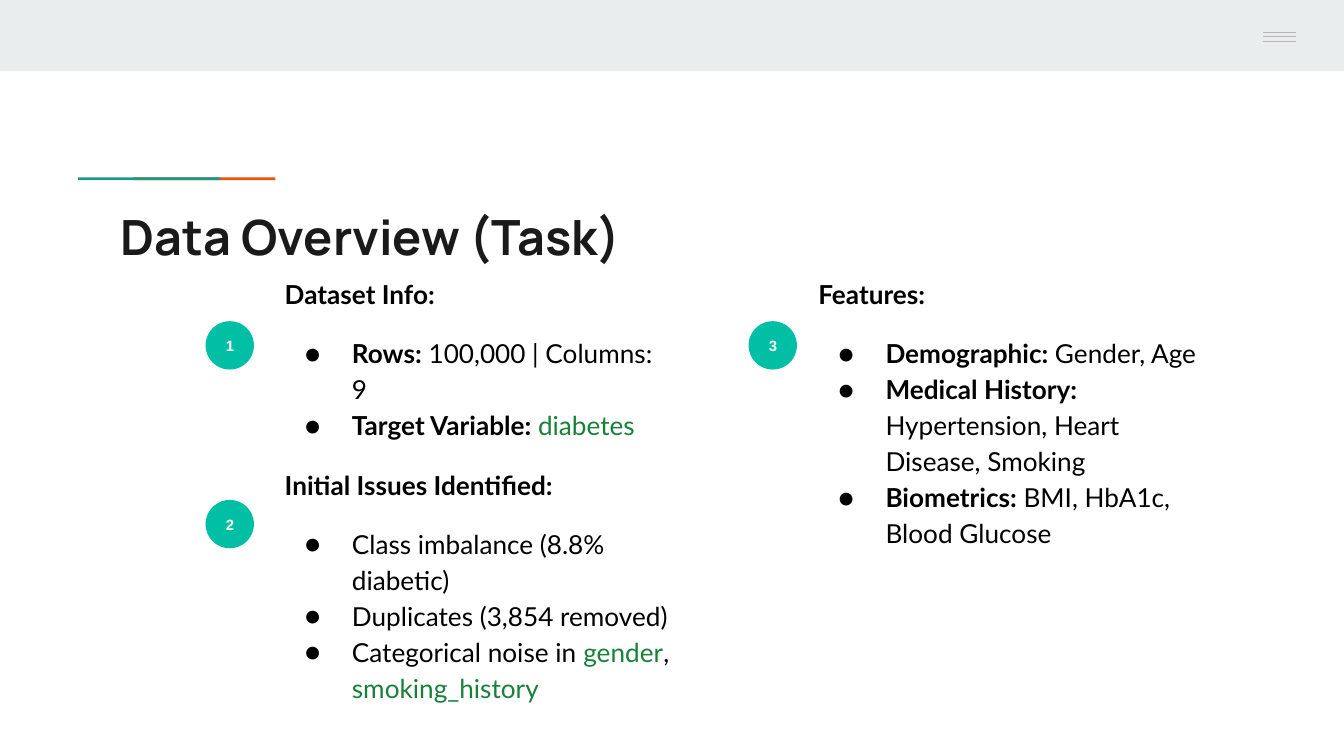
"""Build the data overview slide with numbered lists."""
from lxml import etree
from pptx import Presentation, util as u
from pptx.dml.color import RGBColor
from pptx.enum import shapes as s, text as t
from pptx.oxml.ns import qn

I = u.Inches
GREEN, BLACK = "188038", "000000"


def hue(code):
    return RGBColor.from_string(code)


def write(par, words, size=14, font="Lato", color=BLACK, bold=False, align="LEFT",
          gap=0, line=1, mark=None):
    par.alignment = getattr(t.PP_ALIGN, align)
    par.line_spacing = line
    par.space_before = u.Pt(gap)
    par.space_after = u.Pt(0)
    if mark:
        props = par._p.get_or_add_pPr()
        props.set("marL", str(I(0.5)))
        props.set("indent", str(I(-0.35)))
        tint = etree.SubElement(props, qn("a:buClr"))
        etree.SubElement(tint, qn("a:srgbClr"), val=BLACK)
        etree.SubElement(props, qn("a:buSzPts"), val=str(size * 100))
        etree.SubElement(props, qn("a:buFont"), typeface=font)
        etree.SubElement(props, qn("a:buChar"), char=mark)
    run = par.add_run()
    run.text = words
    run.font.size = u.Pt(size)
    run.font.name = font
    run.font.bold = bold
    run.font.color.rgb = hue(color)


deck = Presentation()
deck.slide_width = I(10)
deck.slide_height = I(10) * 9 // 16
slide = deck.slides.add_slide(deck.slide_layouts[5])
tree = slide.shapes

bars = [
    (0, 0, 10, 0.53, "E9EDEE"),
    (0.99, 1.32, 1.06, 0.02, "EB5600"),
    (0.58, 1.32, 1.06, 0.02, "1A9988"),
    (9.06, 0, 0.94, 0.5, "E9EDEE"),
]
for x, y, w, h, fill in bars:
    bar = tree.add_shape(s.MSO_SHAPE.RECTANGLE, I(x), I(y), I(w), I(h))
    bar.shadow.inherit = False
    bar.fill.solid()
    bar.fill.fore_color.rgb = hue(fill)
    bar.line.fill.background()

for y in (0.24, 0.27, 0.31):
    rule = tree.add_connector(s.MSO_CONNECTOR.STRAIGHT, I(9.4), I(y), I(9.64), I(y))
    rule.line.color.rgb = hue("B7B7B7")
    rule.line.width = u.Pt(0.75)
    etree.SubElement(rule._element.spPr, qn("a:effectLst"))

title = tree.title
title.left, title.top, title.width, title.height = I(0.8), I(1.44), I(8.41), I(0.59)

lists = [
    (2.02, 1.94, 3.08, 1.21, "Dataset Info:", [
        [("Rows:", True, BLACK), (" 100,000 | Columns: 9", False, BLACK)],
        [("Target Variable: ", True, BLACK), ("diabetes", False, GREEN)],
    ]),
    (2.02, 3.36, 3.08, 1.41, "Initial Issues Identified:", [
        [("Class imbalance (8.8% diabetic)", False, BLACK)],
        [("Duplicates (3,854 removed)", False, BLACK)],
        [("Categorical noise in ", False, BLACK), ("gender", False, GREEN),
         (", ", False, BLACK), ("smoking_history", False, GREEN)],
    ]),
    (5.99, 1.94, 3.08, 1.15, "Features:", [
        [("Demographic: ", True, BLACK), ("Gender, Age", False, BLACK)],
        [("Medical History: ", True, BLACK),
         ("Hypertension, Heart Disease, Smoking", False, BLACK)],
        [("Biometrics: ", True, BLACK), ("BMI, HbA1c, Blood Glucose", False, BLACK)],
    ]),
]
boxes = [tree.add_textbox(*map(I, item[:4])) for item in lists]
dots = [tree.add_shape(s.MSO_SHAPE.OVAL, I(x), I(y), I(0.36), I(0.36))
        for x, y in ((1.53, 2.39), (1.53, 3.72), (5.57, 2.39))]

for shape in [title, *boxes, *dots]:
    frame = shape.text_frame
    frame.word_wrap = True
    frame.auto_size = t.MSO_AUTO_SIZE.NONE
    frame.vertical_anchor = t.MSO_ANCHOR.TOP
    frame.margin_left = frame.margin_right = I(0.1)
    frame.margin_top = frame.margin_bottom = I(0.1)

write(title.text_frame.paragraphs[0], "Data Overview (Task)", size=26,
      font="Manrope", color="1A1A1A", bold=True)

for box, (*_, head, items) in zip(boxes, lists):
    frame = box.text_frame
    write(frame.paragraphs[0], head, bold=True, line=1.15)
    for row, parts in enumerate(items):
        par = frame.add_paragraph()
        for spot, (words, bold, color) in enumerate(parts):
            write(par, words, bold=bold, color=color, line=1.15,
                  gap=0 if row else 12, mark=None if spot else "●")

for num, dot in enumerate(dots, 1):
    dot.shadow.inherit = False
    dot.fill.solid()
    dot.fill.fore_color.rgb = hue("00BFA5")
    dot.line.fill.background()
    dot.text_frame.vertical_anchor = t.MSO_ANCHOR.MIDDLE
    write(dot.text_frame.paragraphs[0], str(num), size=8, font="Arial",
          color="FFFFFF", bold=True, align="CENTER")

deck.save("out.pptx")
